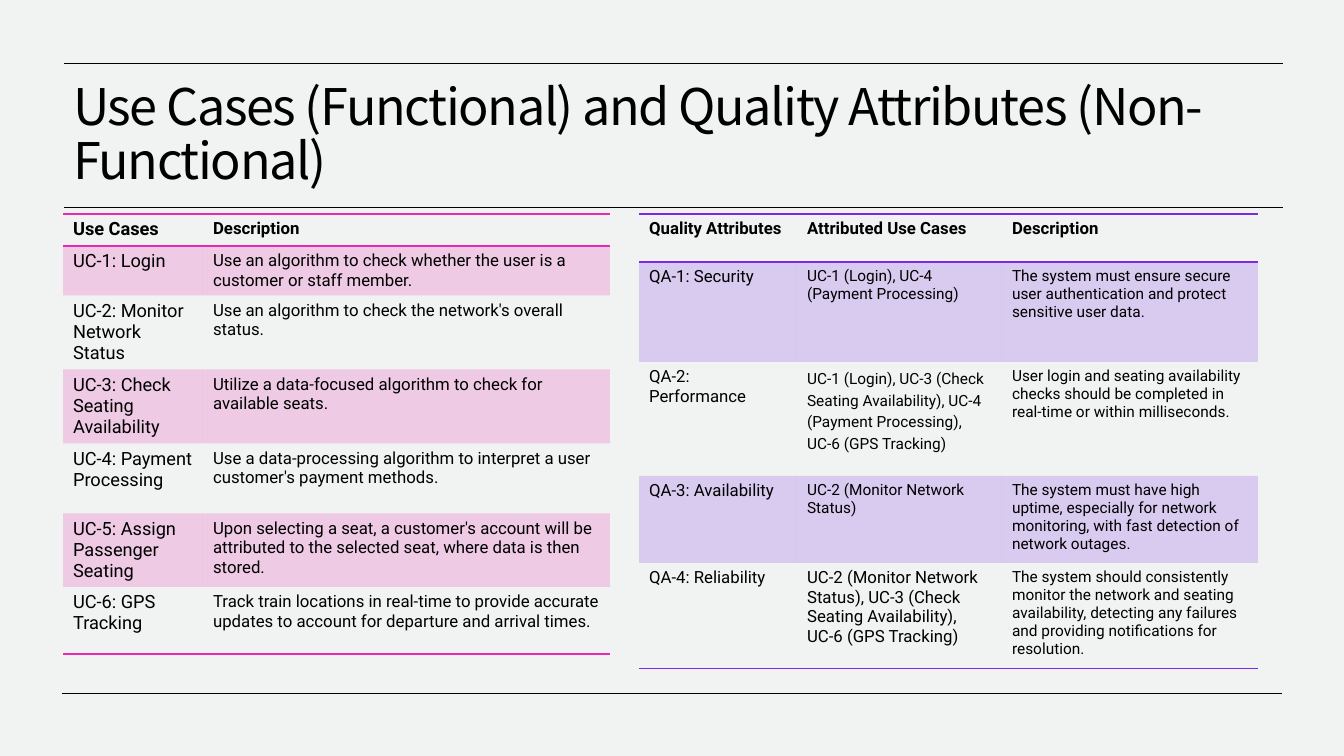
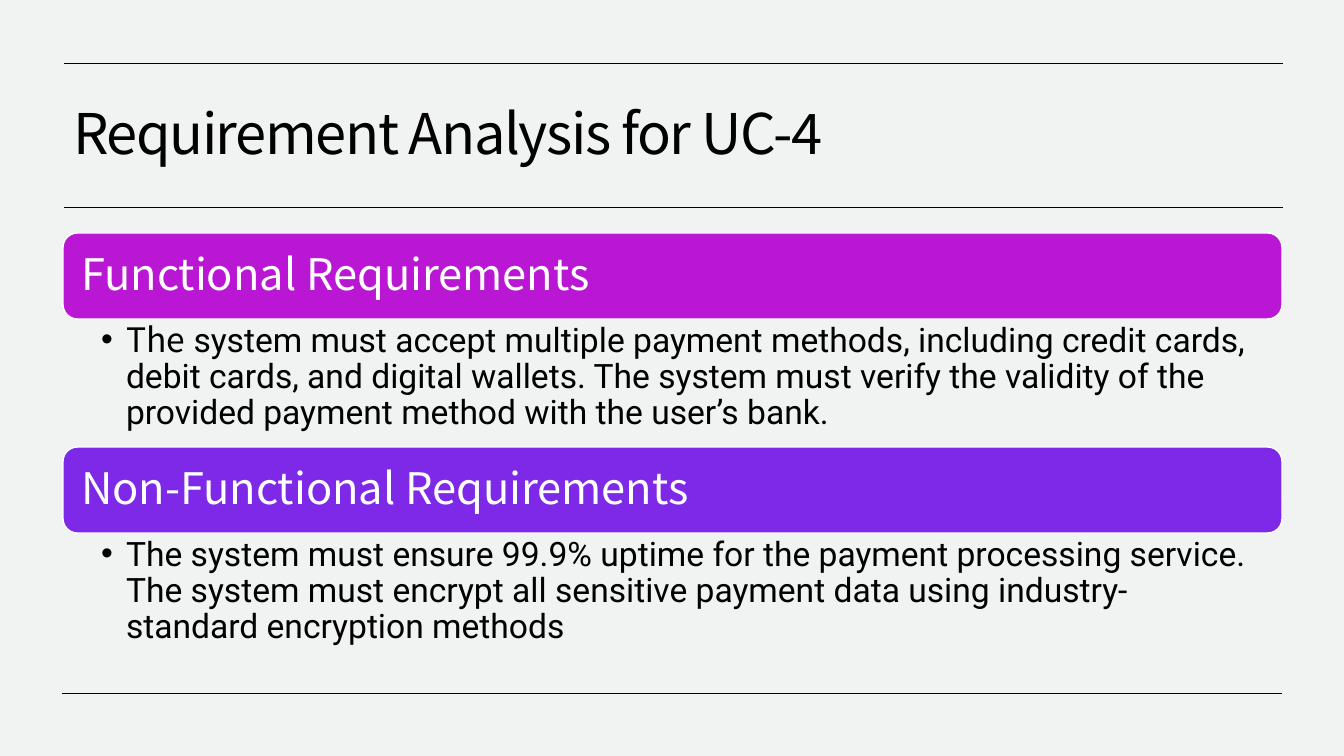
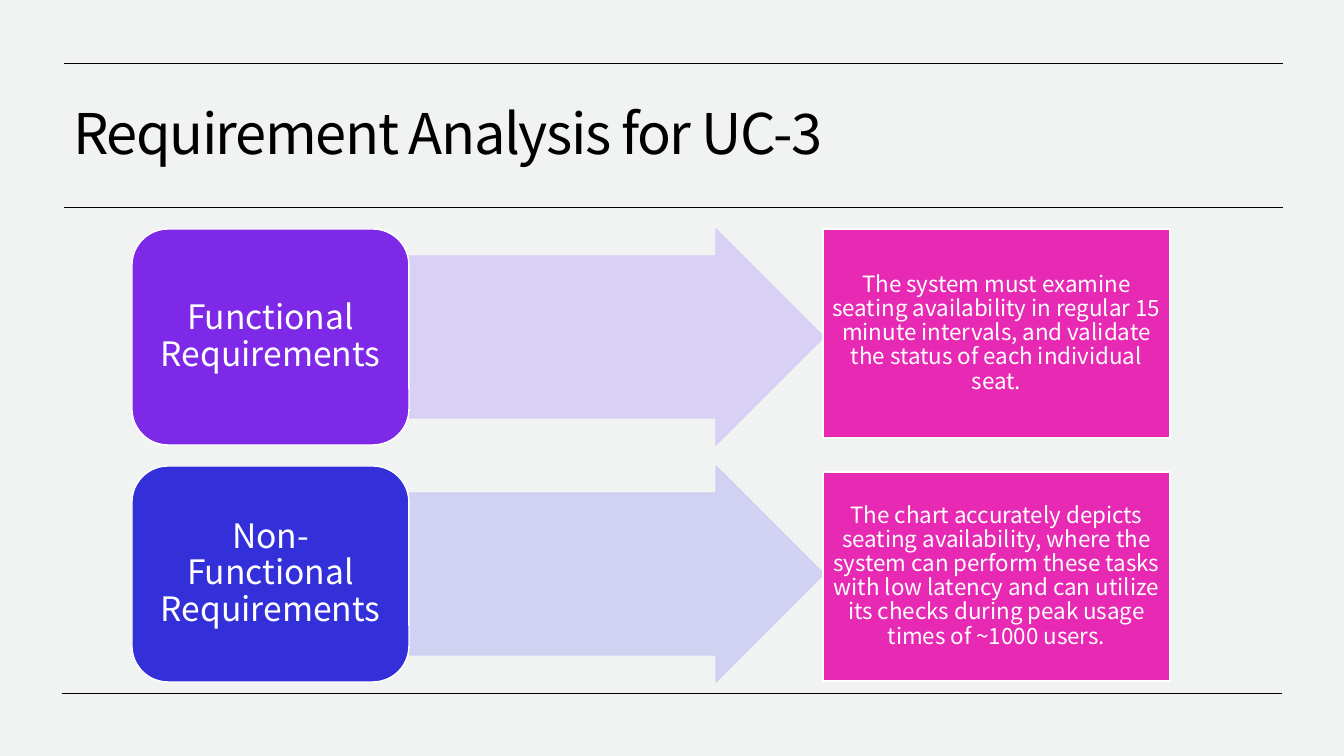
from lxml.etree import SubElement
from pptx import Presentation
from pptx.dml.color import RGBColor
from pptx.enum.shapes import MSO_CONNECTOR, MSO_SHAPE
from pptx.enum.text import MSO_ANCHOR, MSO_AUTO_SIZE, PP_ALIGN
from pptx.oxml.ns import qn
from pptx.util import Emu, Pt

HEAD, BODY = "Noto Sans CJK KR", "Roboto"
BLACK, WHITE, PAPER = "000000", "FFFFFF", "F0F3F1"
PINK, MAGENTA, VIOLET, BLUE = "E729B3", "BA17D5", "7D29E7", "3430D9"
LILAC, PALE_BLUE = "D7CDF6", "CECEF1"
RULES = [(63, 64, 1283), (207, 64, 1283), (693, 62, 1282)]
TITLE_BOX = (63, 76, 1218, 120)
NO_GRID = "{2D5ABB26-0587-4C30-8999-92F81FD0307C}"

USE_CASES = [
    (32, (13, 12), ("Use Cases", "Description")),
    (49, (13, 12), ("UC-1: Login",
     "Use an algorithm to check whether the user is a customer or staff member.")),
    (74, (13, 12), ("UC-2: Monitor Network Status",
     "Use an algorithm to check the network's overall status.")),
    (74, (13, 12), ("UC-3: Check Seating Availability",
     "Utilize a data-focused algorithm to check for available seats.")),
    (70, (13, 12), ("UC-4: Payment Processing",
     "Use a data-processing algorithm to interpret a user customer's payment methods.")),
    (73, (13, 12), ("UC-5: Assign Passenger Seating",
     "Upon selecting a seat, a customer's account will be attributed to the selected seat, "
     "where data is then stored.")),
    (67, (13, 12), ("UC-6: GPS Tracking",
     "Track train locations in real-time to provide accurate updates to account for "
     "departure and arrival times.")),
]
QUALITIES = [
    (48, (12, 12, 12), ("Quality Attributes", "Attributed Use Cases", "Description")),
    (100, (12, 11, 11), ("QA-1: Security", "UC-1 (Login), UC-4 (Payment Processing)",
     "The system must ensure secure user authentication and protect sensitive user data.")),
    (114, (12, 11, 11), ("QA-2: Performance",
     "UC-1 (Login), UC-3 (Check Seating Availability), UC-4 (Payment Processing), "
     "UC-6 (GPS Tracking)",
     "User login and seating availability checks should be completed in real-time or "
     "within milliseconds.")),
    (87, (12, 11, 11), ("QA-3: Availability", "UC-2 (Monitor Network Status)",
     "The system must have high uptime, especially for network monitoring, with fast "
     "detection of network outages.")),
    (106, (12, 12, 11), ("QA-4: Reliability",
     "UC-2 (Monitor Network Status), UC-3 (Check Seating Availability), UC-6 (GPS Tracking)",
     "The system should consistently monitor the network and seating availability, detecting "
     "any failures and providing notifications for resolution.")),
]
PAYMENT = [
    ("Functional Requirements", MAGENTA, [
        ("The", HEAD),
        (" system must accept multiple payment methods, including credit cards, debit cards, "
         "and digital wallets. The system must verify the validity of the provided payment "
         "method with the user’s bank.", BODY)]),
    ("Non-Functional Requirements", VIOLET, [
        ("The system must ensure 99.9% uptime for the payment processing service. The system "
         "must encrypt all sensitive payment data using industry-standard encryption methods",
         BODY)]),
]
SEATING = [
    ("Functional Requirements", VIOLET, LILAC,
     "The system must examine seating availability in regular 15 minute intervals, and "
     "validate the status of each individual seat."),
    ("Non-Functional Requirements", BLUE, PALE_BLUE,
     "The chart accurately depicts seating availability, where the system can perform these "
     "tasks with low latency and can utilize its checks during peak usage times of ~1000 users."),
]


def px(n):
    """Turn px into EMU."""
    return Emu(round(n * 914400 / 100.8))


def rgb(color):
    """Turn a hex string into a colour."""
    return RGBColor.from_string(color)


def put(obj, **fmt):
    """Set attributes from format values."""
    for name, value in fmt.items():
        setattr(obj, name, value)


def fade(element, percent):
    """Give every colour inside an element the same opacity."""
    for clr in element.iter(qn("a:srgbClr")):
        SubElement(clr, qn("a:alpha"), val=str(percent * 1000))


def write(tf, runs, size, color=BLACK, bold=False, **fmt):
    """Write (text, font) runs as the only paragraph and return it."""
    p = tf.paragraphs[0]
    put(p, **fmt)
    for text, font in runs:
        r = p.add_run()
        r.text = text
        put(r.font, size=Pt(size), name=font, bold=bold)
        r.font.color.rgb = rgb(color)
    return p


def frame(tf, insets=(10, 5, 10, 5), anchor=MSO_ANCHOR.MIDDLE):
    """Set wrapping, anchor and left, top, right, bottom insets."""
    left, top, right, bottom = map(px, insets)
    put(tf, word_wrap=True, auto_size=MSO_AUTO_SIZE.NONE, vertical_anchor=anchor,
        margin_left=left, margin_top=top, margin_right=right, margin_bottom=bottom)


def block(s, kind, box, fill, line=WHITE):
    """Draw a filled shape with a thin outline."""
    sp = s.shapes.add_shape(kind, *map(px, box))
    sp.shadow.inherit = False
    sp.fill.solid()
    sp.fill.fore_color.rgb = rgb(fill)
    sp.line.color.rgb = rgb(line)
    sp.line.width = Pt(1)
    return sp


def label(s, kind, box, fill, text, size, insets, align):
    """Draw a shape with white text."""
    tf = block(s, kind, box, fill).text_frame
    frame(tf, insets)
    write(tf, [(text, HEAD)], size, WHITE, alignment=align, line_spacing=0.9)


def new_slide(prs, title, size):
    """Add a slide with the shared rules and title style."""
    s = prs.slides.add_slide(prs.slide_layouts[5])
    for y, left, right in RULES:
        rule = s.shapes.add_connector(MSO_CONNECTOR.STRAIGHT, *map(px, (left, y, right, y)))
        rule.line.color.rgb = rgb(BLACK)
        rule.line.width = Pt(0.5)
        SubElement(rule._element.spPr, qn("a:effectLst"))
    left, top, width, height = map(px, TITLE_BOX)
    put(s.shapes.title, left=left, top=top, width=width, height=height)
    tf = s.shapes.title.text_frame
    frame(tf)
    p = write(tf, [(title, HEAD)], size, alignment=PP_ALIGN.LEFT, line_spacing=0.9)
    p.runs[0]._r.get_or_add_rPr().set("spc", "-100")
    return s


def edge(cell, side, index, color):
    """Add a coloured border on one side of a cell."""
    tcPr = cell._tc.get_or_add_tcPr()
    ln = SubElement(tcPr, qn("a:" + side), w=str(Pt(1)))
    SubElement(SubElement(ln, qn("a:solidFill")), qn("a:srgbClr"), val=color)
    tcPr.insert(index, ln)


def banded_table(s, x, y, widths, rows, color):
    """Draw a table with tinted odd rows and ruled header and foot."""
    height = sum(row[0] for row in rows)
    box = map(px, (x, y, sum(widths), height))
    table = s.shapes.add_table(len(rows), len(widths), *box).table
    put(table, first_row=False, horz_banding=False)
    table._tbl.tblPr.find(qn("a:tableStyleId")).text = NO_GRID
    for col, width in zip(table.columns, widths):
        col.width = px(width)
    for i, (row_height, sizes, texts) in enumerate(rows):
        table.rows[i].height = px(row_height)
        for cell, size, text in zip(table.rows[i].cells, sizes, texts):
            write(cell.text_frame, [(text, BODY)], size, bold=i == 0)
            if i % 2:
                cell.fill.solid()
                cell.fill.fore_color.rgb = rgb(color)
                fade(cell._tc.tcPr, 20)
            else:
                cell.fill.background()
            if i == 0:
                edge(cell, "lnT", 0, color)
            if i in (0, len(rows) - 1):
                edge(cell, "lnB", int(i == 0), color)
    return table


def bar_section(s, x, y, width, heading, color, runs):
    """Draw a heading bar with a bulleted paragraph below."""
    label(s, MSO_SHAPE.ROUNDED_RECTANGLE, (x, y, width, 86), color, heading, 31,
          (14, 9, 14, 9), PP_ALIGN.LEFT)
    tf = s.shapes.add_textbox(*map(px, (x, y + 86, width, 126))).text_frame
    frame(tf, (38, 4, 24, 4), MSO_ANCHOR.TOP)
    pPr = write(tf, runs, 24, line_spacing=0.9)._p.get_or_add_pPr()
    pPr.set("marL", str(px(25)))
    pPr.set("indent", str(px(-25)))
    SubElement(pPr, qn("a:buFont"), typeface="Arial")
    SubElement(pPr, qn("a:buChar"), char="•")


def arrow_row(s, x, y, heading, color, tint):
    """Draw a heading box with a wide arrow leaving it."""
    arrow = block(s, MSO_SHAPE.RIGHT_ARROW, (x + 277, y, 415, 216), tint, tint)
    arrow.adjustments[0] = 0.75
    fade(arrow._element.spPr, 90)
    label(s, MSO_SHAPE.ROUNDED_RECTANGLE, (x, y, 277, 216), color, heading, 24,
          (10, 5, 10, 5), PP_ALIGN.CENTER)


def main():
    """Build the deck."""
    prs = Presentation()
    put(prs, slide_width=px(1344), slide_height=px(756))
    fill = prs.slide_master.background.fill
    fill.solid()
    fill.fore_color.rgb = rgb(PAPER)

    s = new_slide(prs, "Use Cases (Functional) and Quality Attributes (Non-Functional)", 36)
    banded_table(s, 63, 214, (140, 407), USE_CASES, PINK)
    table = banded_table(s, 639, 214, (158, 205, 256), QUALITIES, VIOLET)
    put(table.cell(2, 1).text_frame.paragraphs[0], line_spacing=1.2, space_before=Pt(10))

    s = new_slide(prs, "Requirement Analysis for UC-4", 40)
    for i, section in enumerate(PAYMENT):
        bar_section(s, 63, 233 + 214 * i, 1219, *section)

    s = new_slide(prs, "Requirement Analysis for UC-3", 40)
    for i, (heading, color, tint, detail) in enumerate(SEATING):
        arrow_row(s, 132, 229 + 237 * i, heading, color, tint)
        label(s, MSO_SHAPE.RECTANGLE, (823, 229 + 243 * i, 347, 209), PINK, detail, 16,
              (7, 7, 7, 7), PP_ALIGN.CENTER)

    prs.save("out.pptx")


if __name__ == "__main__":
    main()
